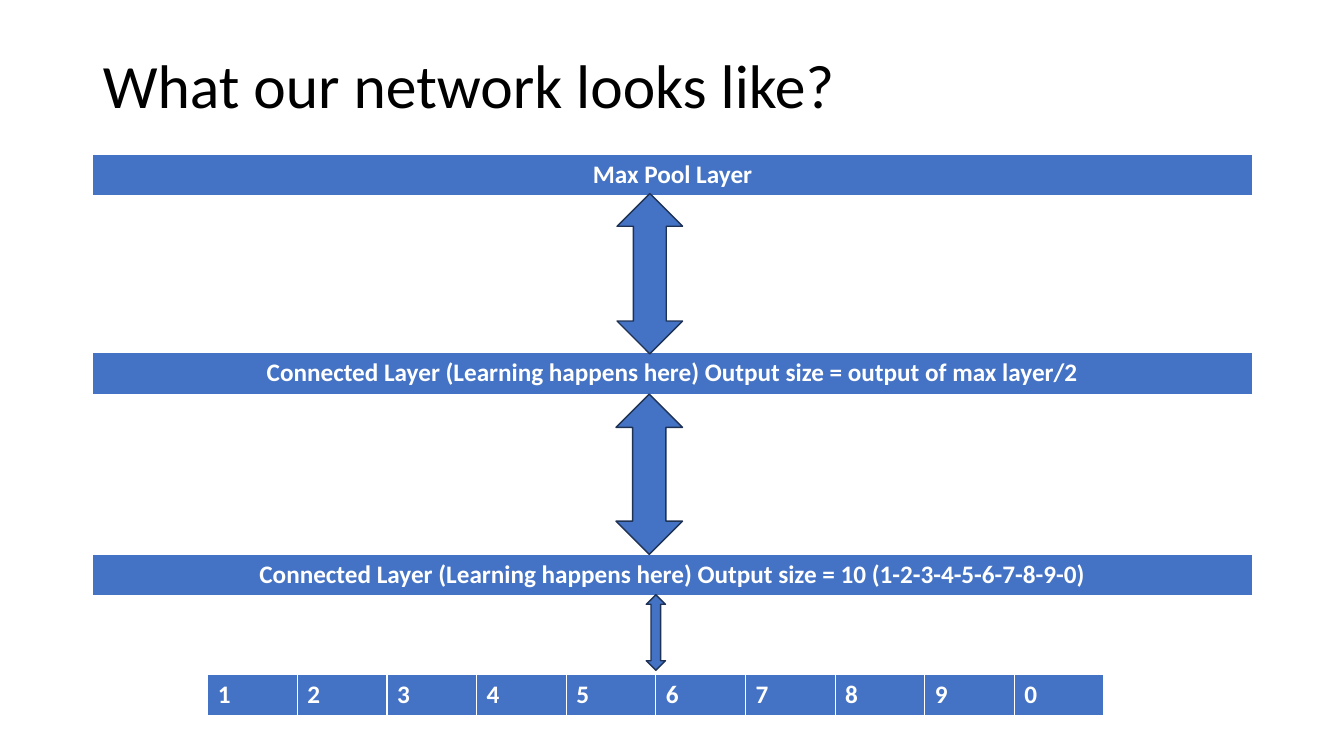
from dataclasses import dataclass

from pptx import Presentation
from pptx.dml.color import RGBColor
from pptx.enum.shapes import MSO_SHAPE
from pptx.enum.text import MSO_ANCHOR, PP_ALIGN
from pptx.util import Inches, Pt

# Content
TITLE = "What our network looks like?"
LAYERS = [
    # text, top
    ("Max Pool Layer", 1.53),
    ("Connected Layer (Learning happens here) Output size = output of max layer/2", 3.5),
    ("Connected Layer (Learning happens here) Output size = 10 (1-2-3-4-5-6-7-8-9-0)", 5.5),
]
DIGITS = list("1234567890")
ARROWS = [
    # left, top, width, height
    (6.12, 1.92, 0.65, 1.59),
    (6.11, 3.91, 0.66, 1.59),
    (6.41, 5.9, 0.19, 0.75),
]

# Layout, in inches
LEFT, WIDTH, ROW_HEIGHT = 0.92, 11.5, 0.41
DIGITS_LEFT, DIGITS_TOP, DIGITS_WIDTH = 2.06, 6.69, 8.89


@dataclass(frozen=True)
class Theme:
    font: str = "Calibri"
    title_size: int = 44
    cell_size: int = 18
    text: RGBColor = RGBColor(0x00, 0x00, 0x00)
    fill: RGBColor = RGBColor(0x44, 0x72, 0xC4)
    outline: RGBColor = RGBColor(0x1E, 0x32, 0x56)
    on_fill: RGBColor = RGBColor(0xFF, 0xFF, 0xFF)


THEME = Theme()


def add_run(p, text, size, color, bold=False):
    r = p.add_run()
    r.text = text
    r.font.name = THEME.font
    r.font.size = Pt(size)
    r.font.color.rgb = color
    r.font.bold = bold


def add_title(s):
    sp = s.shapes.title
    sp.left, sp.top = Inches(LEFT), Inches(0.15)
    sp.width, sp.height = Inches(WIDTH), Inches(1.45)
    tf = sp.text_frame
    tf.vertical_anchor = MSO_ANCHOR.MIDDLE
    p = tf.paragraphs[0]
    p.alignment = PP_ALIGN.LEFT
    p.line_spacing = 0.9
    add_run(p, TITLE, THEME.title_size, THEME.text)


def add_row(s, texts, left, top, width, align):
    """Add a one-row table with equal columns."""
    table = s.shapes.add_table(1, len(texts), Inches(left), Inches(top),
                               Inches(width), Inches(ROW_HEIGHT)).table
    for cell, text in zip(table.rows[0].cells, texts):
        cell.fill.solid()
        cell.fill.fore_color.rgb = THEME.fill
        p = cell.text_frame.paragraphs[0]
        p.alignment = align
        add_run(p, text, THEME.cell_size, THEME.on_fill, bold=True)


def add_arrow(s, left, top, width, height):
    sp = s.shapes.add_shape(MSO_SHAPE.UP_DOWN_ARROW, Inches(left), Inches(top),
                            Inches(width), Inches(height))
    sp.shadow.inherit = False
    sp.fill.solid()
    sp.fill.fore_color.rgb = THEME.fill
    sp.line.color.rgb = THEME.outline
    sp.line.width = Pt(1)


def main():
    prs = Presentation()
    prs.slide_width, prs.slide_height = Inches(13.33), Inches(7.5)
    s = prs.slides.add_slide(prs.slide_layouts.get_by_name("Title Only"))

    add_title(s)

    # Network layers, then the ten outputs
    for text, top in LAYERS:
        add_row(s, [text], LEFT, top, WIDTH, PP_ALIGN.CENTER)
    add_row(s, DIGITS, DIGITS_LEFT, DIGITS_TOP, DIGITS_WIDTH, PP_ALIGN.LEFT)

    # Links between the layers
    for box in ARROWS:
        add_arrow(s, *box)

    prs.save("out.pptx")


if __name__ == "__main__":
    main()
